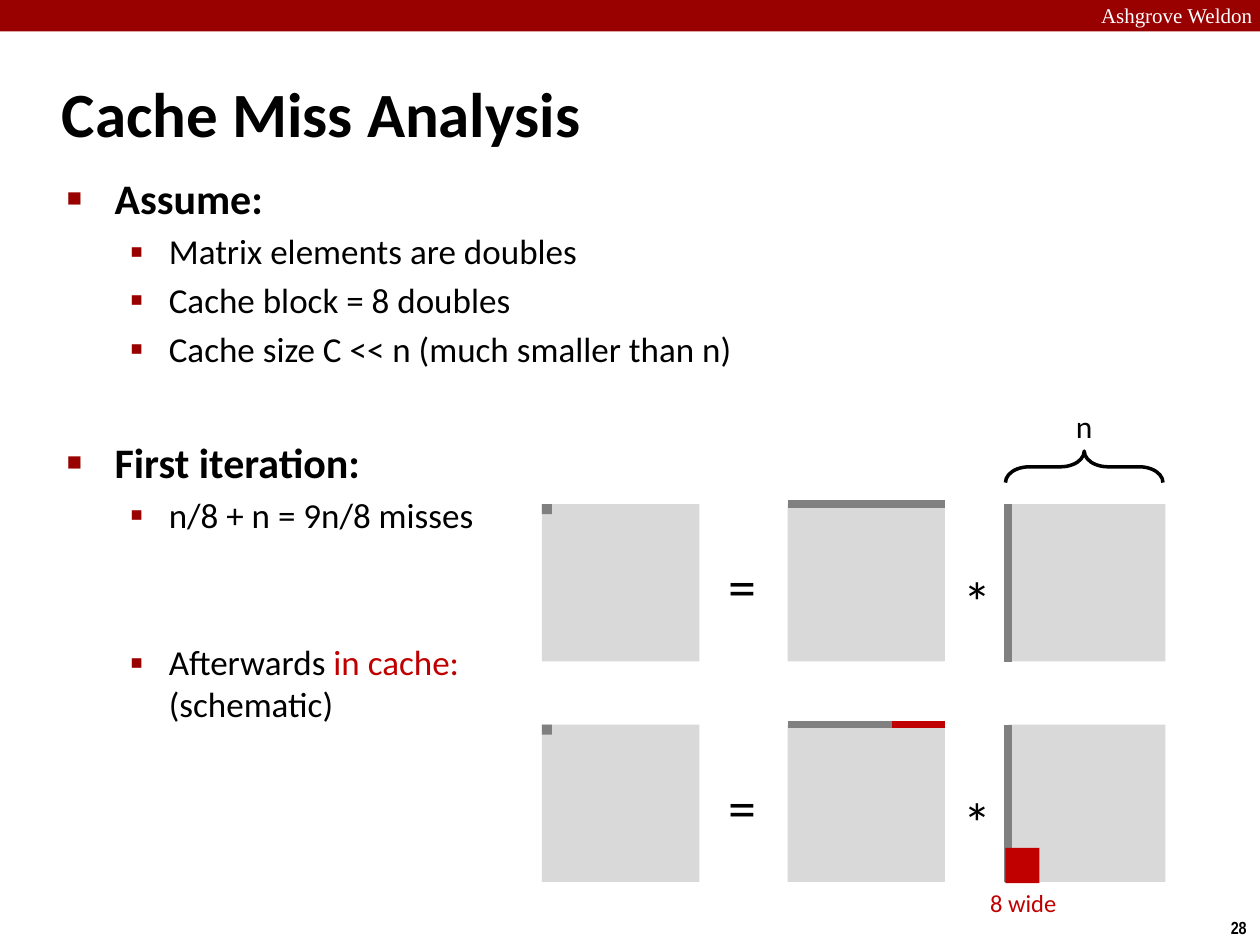
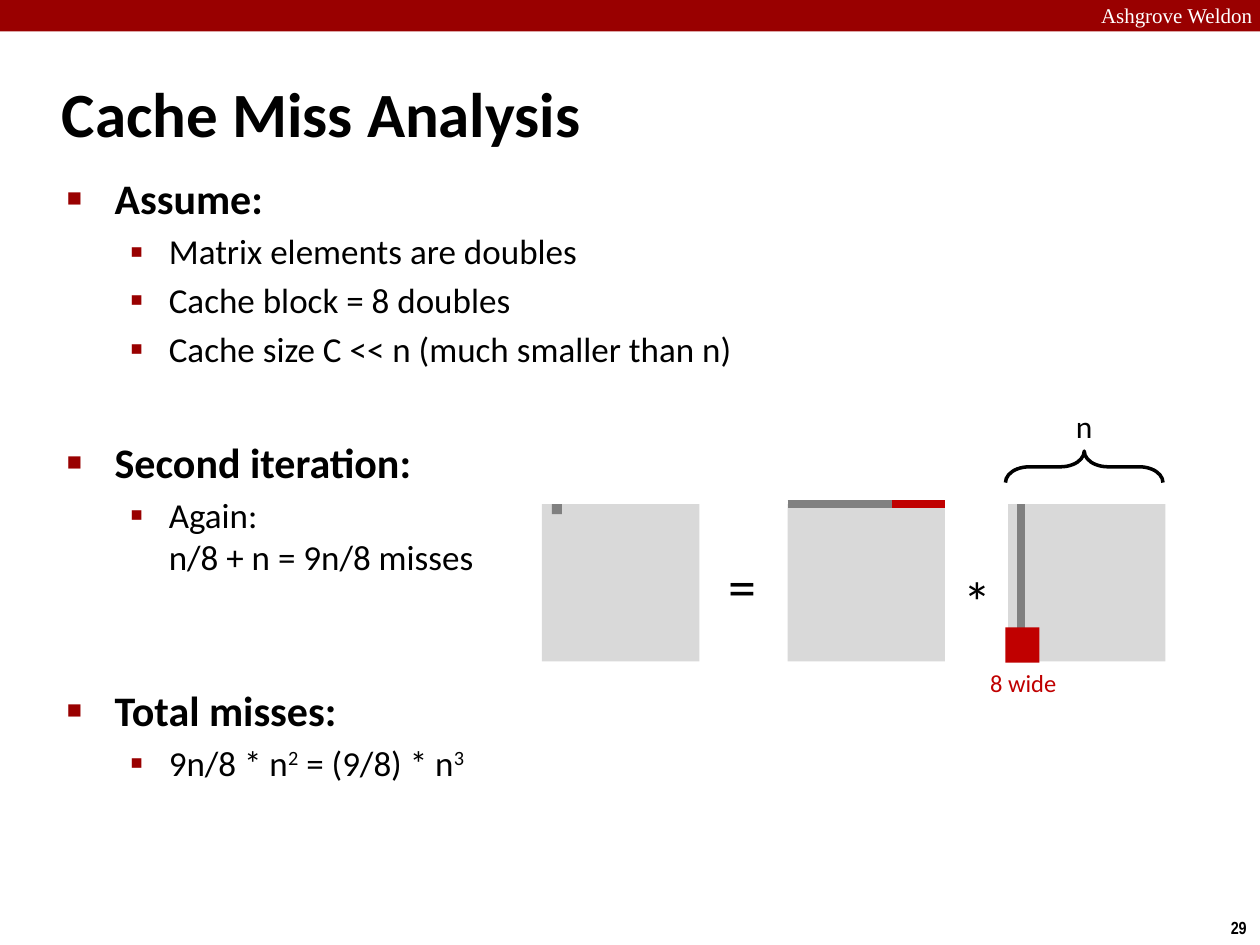
from lxml import etree
from pptx import Presentation
from pptx.dml.color import RGBColor
from pptx.enum.shapes import MSO_CONNECTOR, MSO_SHAPE
from pptx.enum.text import MSO_ANCHOR, MSO_AUTO_SIZE, PP_ALIGN
from pptx.oxml.ns import qn
from pptx.util import Inches, Pt

RECT, BRACE = MSO_SHAPE.RECTANGLE, MSO_SHAPE.LEFT_BRACE
STRAIGHT = MSO_CONNECTOR.STRAIGHT
LEFT, TOP, MIDDLE = PP_ALIGN.LEFT, MSO_ANCHOR.TOP, MSO_ANCHOR.MIDDLE
NO_FIT, GROW = MSO_AUTO_SIZE.NONE, MSO_AUTO_SIZE.SHAPE_TO_FIT_TEXT

# Shared look
BAND, BLACK, WHITE = "990000", "000000", "FFFFFF"
MATRIX, ACCESSED, CACHED = "D9D9D9", "808080", "C00000"
FONT = "Calibri"
# Per list level: size, bold, margin, hanging indent, space before, bullet, bullet %
LEVELS = [(24, True, 0.38, 0.38, 4.6, "■", 60),
          (20, False, 0.81, 0.31, 3.8, "▪", 110)]

# Geometry of a matrix product (inches)
SIDE, CELL, STRIPE = 1.25, 0.08, 4.5
RESULT_X, ROWS_X, COLUMNS_X = 4.3, 6.25, 8
COLUMN_STEP = 0.1
CACHED_ROW = 0.42

ASSUMPTIONS = [
    (0, 0, [("Assume:",)]),
    (1, 0, [("Matrix elements are doubles",)]),
    (1, 0, [("Cache block = 8 doubles",)]),
    (1, 0, [("Cache size C << n (much smaller than n)",)]),
]
# Level, extra space before, runs of (text, colour, superscript)
FIRST_ITERATION = [
    (0, 33.9, [("First iteration:",)]),
    (1, 0, [("n/8 + n = 9n/8 misses",)]),
    (1, 56.4, [("Afterwards ",), ("in cache:\n", CACHED), ("(schematic)",)]),
]
SECOND_ITERATION = [
    (0, 33.9, [("Second iteration:",)]),
    (1, 0, [("Again:\nn/8 + n = 9n/8 misses",)]),
    (0, 56.4, [("Total misses:",)]),
    (1, 0, [("9n/8 * n",), ("2", BLACK, True),
            (" = (9/8) * n",), ("3", BLACK, True)]),
]


def rgb(value):
    return RGBColor.from_string(value)


def add_run(paragraph, text, size, color=BLACK, bold=False, font=FONT):
    run = paragraph.add_run()
    run.text = text
    run.font.name, run.font.size, run.font.bold = font, Pt(size), bold
    run.font.color.rgb = rgb(color)
    return run


def place(shape, left, top, width, height):
    shape.left, shape.top = Inches(left), Inches(top)
    shape.width, shape.height = Inches(width), Inches(height)


def add_block(slide, left, top, width, height, color):
    block = slide.shapes.add_shape(RECT, Inches(left), Inches(top),
                                   Inches(width), Inches(height))
    block.shadow.inherit = False
    block.fill.solid()
    block.fill.fore_color.rgb = rgb(color)
    block.line.fill.background()


def add_stripe(slide, x1, y1, x2, y2, color):
    stripe = slide.shapes.add_connector(STRAIGHT, Inches(x1), Inches(y1),
                                        Inches(x2), Inches(y2))
    stripe.line.color.rgb = rgb(color)
    stripe.line.width = Pt(STRIPE)
    etree.SubElement(stripe._element.spPr, qn("a:effectLst"))


def add_label(slide, text, left, top, width, height, size, wrap=False, **style):
    label = slide.shapes.add_textbox(Inches(left), Inches(top),
                                     Inches(width), Inches(height))
    label.text_frame.word_wrap = wrap
    label.text_frame.auto_size = GROW
    add_run(label.text_frame.paragraphs[0], text, size, **style)


def add_bullet(paragraph, char, percent):
    properties = paragraph._p.get_or_add_pPr()
    color = etree.SubElement(properties, qn("a:buClr"))
    etree.SubElement(color, qn("a:srgbClr"), val=BAND)
    etree.SubElement(properties, qn("a:buSzPct"), val=str(percent * 1000))
    etree.SubElement(properties, qn("a:buFont"), typeface="Arial")
    etree.SubElement(properties, qn("a:buChar"), char=char)


def add_item(paragraph, level, extra_space, runs):
    size, bold, margin, hanging, before, char, percent = LEVELS[level]
    paragraph.level = level
    paragraph.space_before = Pt(before + extra_space)
    properties = paragraph._p.get_or_add_pPr()
    properties.set("marL", str(Inches(margin)))
    properties.set("indent", str(-Inches(hanging)))
    add_bullet(paragraph, char, percent)
    for text, *style in runs:
        color = style[0] if style else BLACK
        for number, line in enumerate(text.split("\n")):
            if number:
                paragraph.add_line_break()
            if line:
                run = add_run(paragraph, line, size, color, bold)
                if len(style) > 1:
                    run._r.get_or_add_rPr().set("baseline", "30000")


def add_page(deck, number, items):
    """Slide with band, title, list and page number."""
    slide = deck.slides.add_slide(deck.slide_layouts[1])
    add_block(slide, 0, 0, 10, 0.25, BAND)
    add_label(slide, "Ashgrove Weldon", 8.64, -0.03, 1.43, 0.3, 12, wrap=True,
              color=WHITE, font="Times New Roman")
    add_label(slide, str(number), 9.67, 7.23, 0.34, 0.27, 10,
              bold=True, font="Arial Narrow")

    title, body = slide.placeholders
    place(title, 0.39, 0.48, 8.3, 0.83)
    place(body, 0.43, 1.32, 8.64, 3.34)
    for holder, anchor in ((title, MIDDLE), (body, TOP)):
        holder.text_frame.auto_size = NO_FIT
        holder.text_frame.vertical_anchor = anchor
    heading = title.text_frame.paragraphs[0]
    heading.alignment = LEFT
    add_run(heading, "Cache Miss Analysis", 36, bold=True)

    frame = body.text_frame
    for index, item in enumerate(items):
        add_item(frame.add_paragraph() if index else frame.paragraphs[0], *item)
    return slide


def add_size_brace(slide):
    """Brace marking the matrix side n."""
    brace = slide.shapes.add_shape(BRACE, Inches(8.48), Inches(3.08),
                                   Inches(0.25), Inches(SIDE))
    brace.rotation = 90
    brace.adjustments[0] = 0.75
    brace.shadow.inherit = False
    brace.fill.background()
    brace.line.color.rgb = rgb(BLACK)
    brace.line.width = Pt(2)
    add_label(slide, "n", 8.44, 3.18, 0.34, 0.4, 18)


def add_product(slide, top, column=0, cached=False):
    """Result = rows * columns, with the accessed parts marked."""
    for left in (RESULT_X, ROWS_X, COLUMNS_X):
        add_block(slide, left, top, SIDE, SIDE, MATRIX)
    add_block(slide, RESULT_X + column * CELL, top, CELL, CELL, ACCESSED)
    row_end = ROWS_X + SIDE
    add_stripe(slide, ROWS_X, top, row_end, top, ACCESSED)
    column_x = COLUMNS_X + column * COLUMN_STEP
    add_stripe(slide, column_x, top, column_x, top + SIDE, ACCESSED)
    add_label(slide, "=", 5.68, top + 0.33, 0.43, 0.64, 32)
    add_label(slide, "*", 7.55, top + 0.45, 0.43, 0.64, 32)
    if cached:
        add_stripe(slide, row_end - CACHED_ROW, top, row_end, top, CACHED)
        add_block(slide, COLUMNS_X - 0.02, top + 0.98, 0.27, 0.28, CACHED)
        add_label(slide, "8 wide", 7.76, top + SIDE, 0.74, 0.34, 14, color=CACHED)


def main():
    deck = Presentation()
    deck.slide_width, deck.slide_height = Inches(10), Inches(7.5)

    # First iteration: accesses, then what stays in cache
    first = add_page(deck, 28, ASSUMPTIONS + FIRST_ITERATION)
    add_size_brace(first)
    add_product(first, 4)
    add_product(first, 5.75, cached=True)

    # Second iteration: next column
    second = add_page(deck, 29, ASSUMPTIONS + SECOND_ITERATION)
    add_size_brace(second)
    add_product(second, 4, column=1, cached=True)

    deck.save("out.pptx")


if __name__ == "__main__":
    main()
